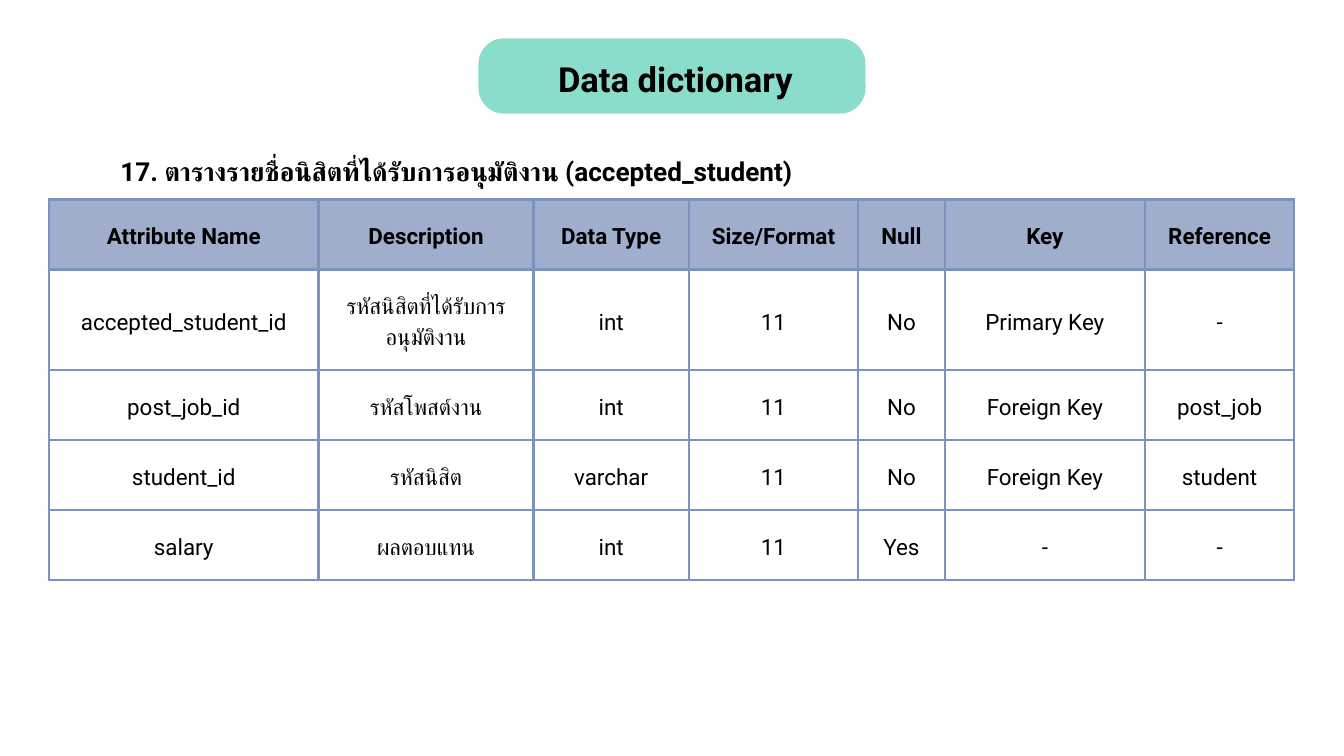
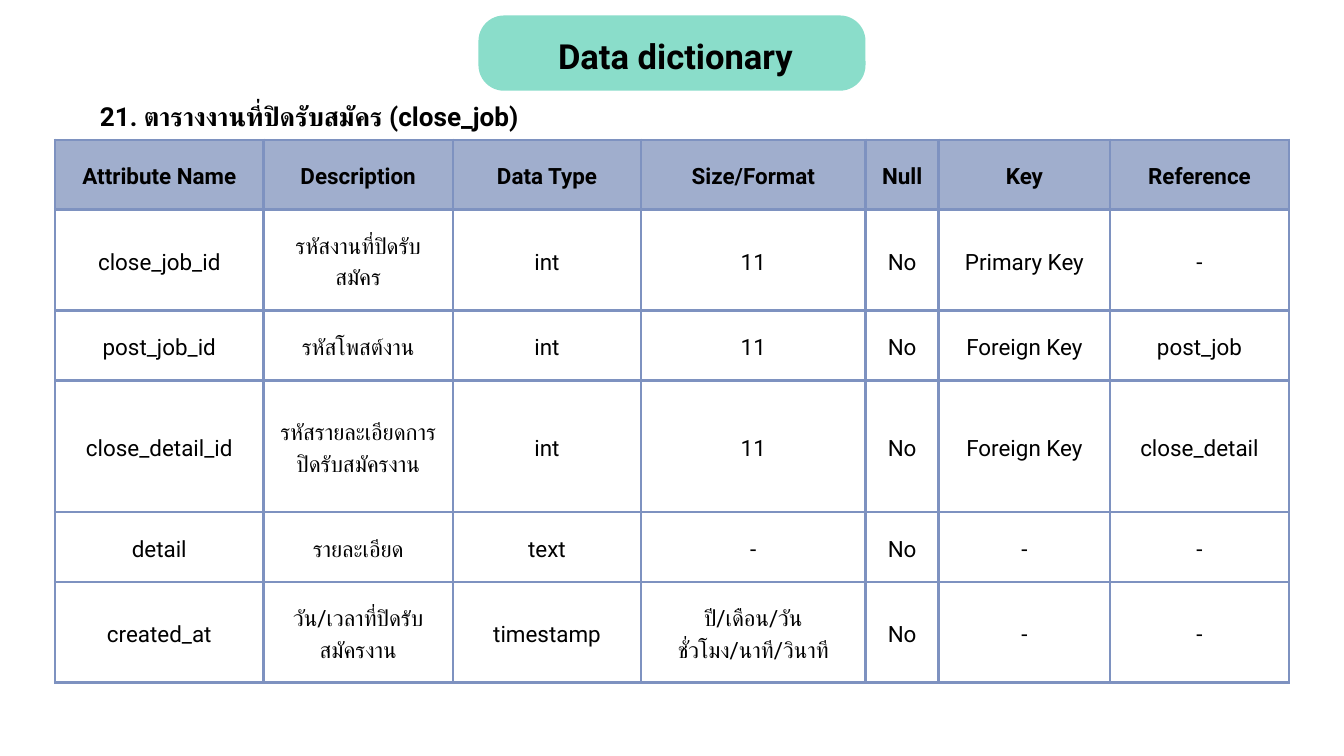
from dataclasses import dataclass

from lxml import etree
from pptx import Presentation
from pptx import util as u
from pptx.dml.color import RGBColor
from pptx.enum import shapes, text
from pptx.oxml import ns

PX = 9144  # EMU per px, 100 px to the inch


@dataclass(frozen=True)
class Theme:
    font: str = "Roboto"
    ink: str = "000000"
    banner: str = "8ADDCA"
    header: str = "A0AECD"
    border: str = "7E92C0"
    border_width: int = 3
    title: tuple = (37, 51.7)  # type size and line spacing in points
    caption: tuple = (28, 39.2)
    cell: tuple = (24, 33.6)


THEME = Theme()
HEADINGS = ["Attribute Name", "Description", "Data Type", "Size/Format",
            "Null", "Key", "Reference"]

ACCEPTED_STUDENT = [
    ["accepted_student_id", "รหัสนิสิตที่ได้รับการอนุมัติงาน", "int", "11", "No", "Primary Key", "-"],
    ["post_job_id", "รหัสโพสต์งาน", "int", "11", "No", "Foreign Key", "post_job"],
    ["student_id", "รหัสนิสิต", "varchar", "11", "No", "Foreign Key", "student"],
    ["salary", "ผลตอบแทน", "int", "11", "Yes", "-", "-"],
]
CLOSE_JOB = [
    ["close_job_id", "รหัสงานที่ปิดรับสมัคร", "int", "11", "No", "Primary Key", "-"],
    ["post_job_id", "รหัสโพสต์งาน", "int", "11", "No", "Foreign Key", "post_job"],
    ["close_detail_id", "รหัสรายละเอียดการปิดรับสมัครงาน", "int", "11", "No", "Foreign Key",
     "close_detail"],
    ["detail", "รายละเอียด", "text", "-", "No", "-", "-"],
    ["created_at", "วัน/เวลาที่ปิดรับสมัครงาน", "timestamp", "ปี/เดือน/วัน\nชั่วโมง/นาที/วินาที",
     "No", "-", "-"],
]


def px(*lengths):
    return [u.Emu(length * PX) for length in lengths]


def color(value):
    return RGBColor.from_string(value)


def set_all(target, values):
    for name, value in values.items():
        setattr(target, name, value)


def write(frame, words, style, bold):
    """Fill a text frame with centred text, one paragraph a line."""
    size, spacing = style
    frame.text = words
    for para in frame.paragraphs:
        set_all(para, {"alignment": text.PP_ALIGN.CENTER, "line_spacing": u.Pt(spacing)})
        for span in para.runs:
            set_all(span.font, {"name": THEME.font, "size": u.Pt(size), "bold": bold})
            span.font.color.rgb = color(THEME.ink)
            for script in ("a:ea", "a:cs"):  # Thai takes the complex-script font
                etree.SubElement(span.font._element, ns.qn(script), typeface=THEME.font)


def add_text(page, place, words, style):
    box = page.shapes.add_textbox(*px(*place))
    margins = dict.fromkeys(
        ("margin_left", "margin_top", "margin_right", "margin_bottom"), 0)
    set_all(box.text_frame, {**margins, "word_wrap": True,
                             "auto_size": text.MSO_AUTO_SIZE.SHAPE_TO_FIT_TEXT})
    write(box.text_frame, words, style, True)


def add_banner(page, top):
    banner = page.shapes.add_shape(
        shapes.MSO_SHAPE.ROUNDED_RECTANGLE, *px(712, top, 576, 112))
    banner.adjustments[0] = 0.34
    banner.shadow.inherit = False
    banner.fill.solid()
    banner.fill.fore_color.rgb = color(THEME.banner)
    banner.line.fill.background()
    add_text(page, (803, top + 19, 404, 67), "Data dictionary", THEME.title)


def add_borders(cell):
    props = cell._tc.get_or_add_tcPr()
    for index, side in enumerate(("a:lnL", "a:lnR", "a:lnT", "a:lnB")):
        line = etree.Element(ns.qn(side), w=str(u.Pt(THEME.border_width)))
        fill = etree.SubElement(line, ns.qn("a:solidFill"))
        etree.SubElement(fill, ns.qn("a:srgbClr"), val=THEME.border)
        props.insert(index, line)


def fill_cell(cell, words, heading):
    margins = dict.fromkeys(
        ("margin_left", "margin_top", "margin_right", "margin_bottom"), px(21)[0])
    set_all(cell, {**margins, "vertical_anchor": text.MSO_ANCHOR.MIDDLE})
    write(cell.text_frame, words, THEME.cell, heading)
    if heading:
        cell.fill.solid()
        cell.fill.fore_color.rgb = color(THEME.header)
    else:
        cell.fill.background()
    add_borders(cell)


def add_dictionary(page, left, top, widths, heights, records):
    rows = [HEADINGS, *records]
    table = page.shapes.add_table(
        len(rows), len(widths), *px(left, top, sum(widths), sum(heights))).table
    set_all(table, {"first_row": False, "horz_banding": False})
    for column, width in zip(table.columns, px(*widths)):
        column.width = width
    for row, height in zip(table.rows, px(*heights)):
        row.height = height
    for r, values in enumerate(rows):
        for c, words in enumerate(values):
            fill_cell(table.cell(r, c), words, heading=r == 0)


def main():
    deck = Presentation()
    deck.slide_width, deck.slide_height = px(2000, 1125)
    blank = deck.slide_layouts[6]

    page = deck.slides.add_slide(blank)
    add_banner(page, 57)
    add_dictionary(page, 73, 297, [401, 320, 231, 252, 129, 298, 222],
                   [104, 150, 104, 104, 104], ACCEPTED_STUDENT)
    add_text(page, (112, 224, 1134, 53),
             "17. ตารางรายชื่อนิสิตที่ได้รับการอนุมัติงาน (accepted_student)", THEME.caption)

    page = deck.slides.add_slide(blank)
    add_dictionary(page, 82, 208, [310, 282, 280, 334, 109, 255, 266],
                   [104, 150, 104, 196, 104, 150], CLOSE_JOB)
    add_banner(page, 23)
    add_text(page, (0, 141, 920, 53),
             "21. ตารางงานที่ปิดรับสมัคร (close_job)", THEME.caption)

    deck.save("out.pptx")


if __name__ == "__main__":
    main()
